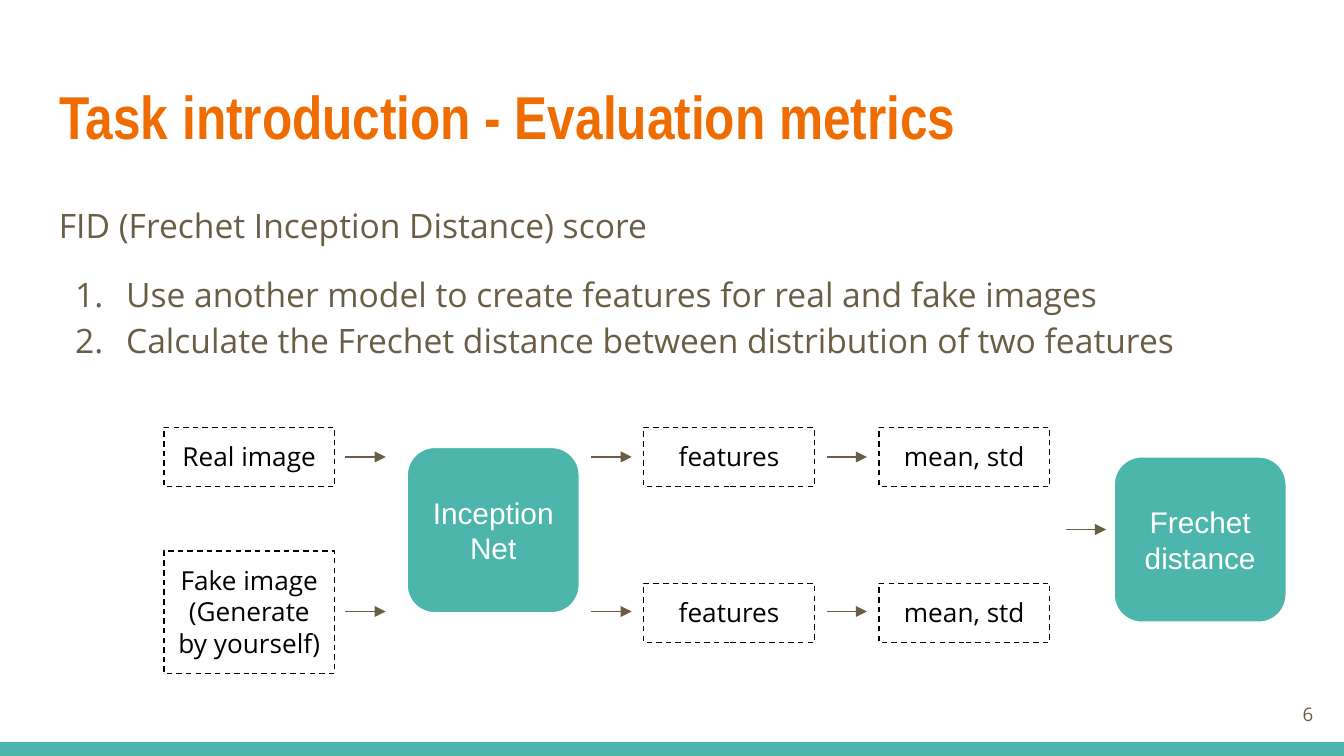
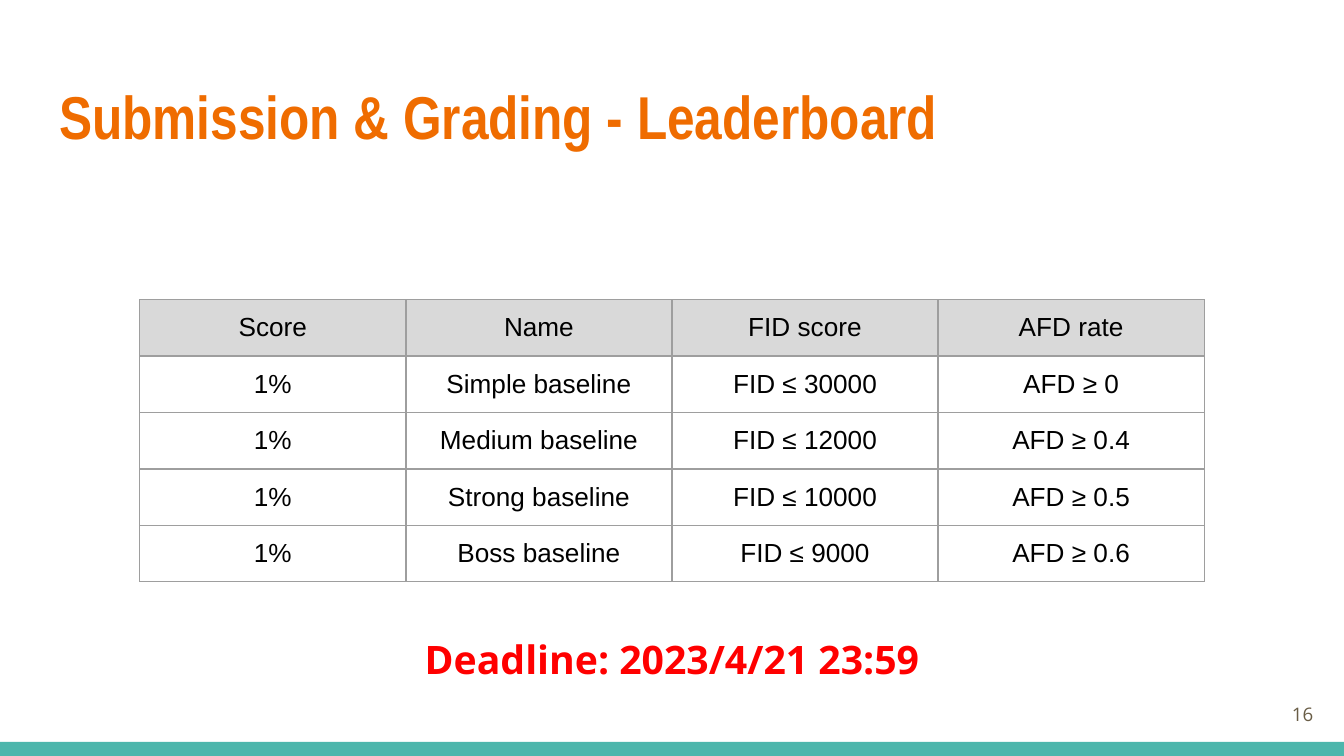
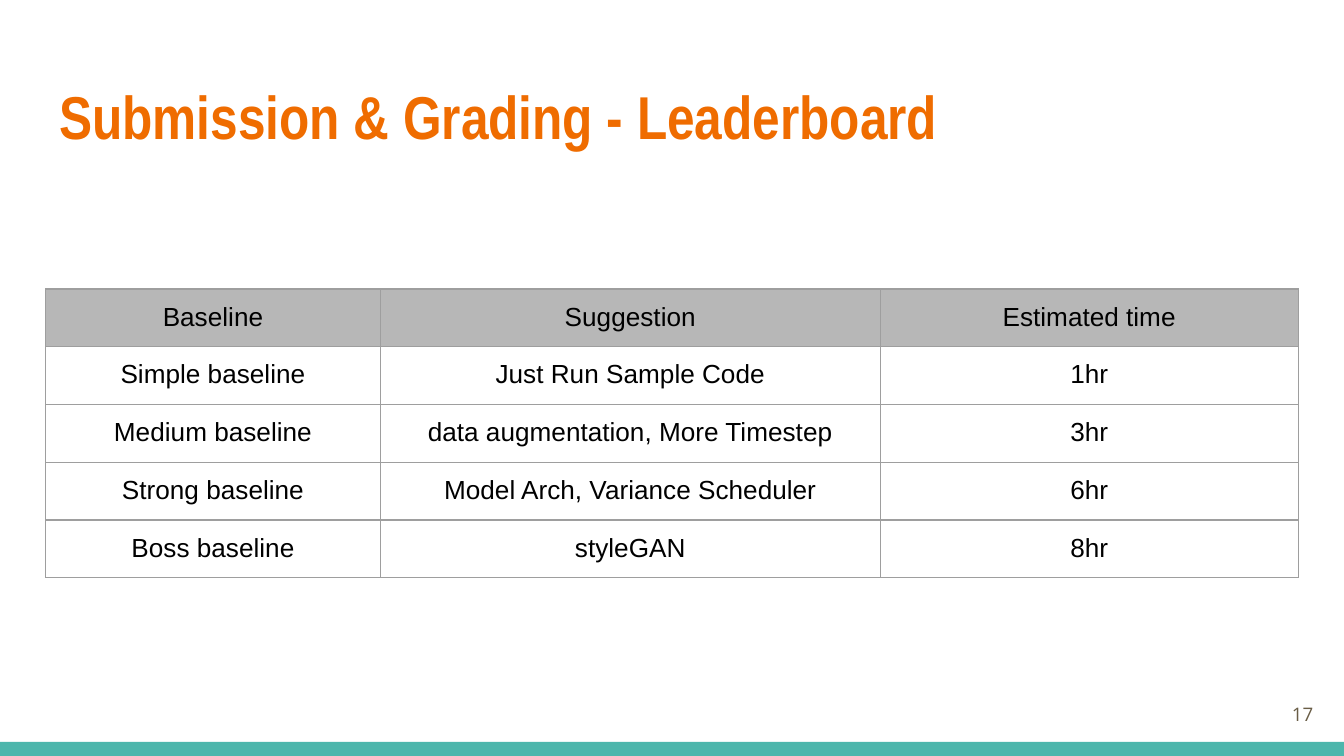
import lxml.etree
import pptx
import pptx.dml.color
import pptx.enum.dml
import pptx.enum.shapes
import pptx.enum.text
import pptx.oxml.ns
import pptx.util

RGBColor = pptx.dml.color.RGBColor
Inches = pptx.util.Inches
Pt = pptx.util.Pt
PP_ALIGN = pptx.enum.text.PP_ALIGN
MSO_ANCHOR = pptx.enum.text.MSO_ANCHOR
MSO_AUTO_SIZE = pptx.enum.text.MSO_AUTO_SIZE
MSO_SHAPE = pptx.enum.shapes.MSO_SHAPE
qn = pptx.oxml.ns.qn

ORANGE = RGBColor(0xEF, 0x6C, 0x00)
TEAL = RGBColor(0x4D, 0xB6, 0xAC)
BROWN = RGBColor(0x69, 0x5D, 0x46)
BLACK = RGBColor(0x00, 0x00, 0x00)
WHITE = RGBColor(0xFF, 0xFF, 0xFF)
RED = RGBColor(0xFF, 0x00, 0x00)
BORDER_GRAY = RGBColor(0x9E, 0x9E, 0x9E)
LIGHT_GRAY = RGBColor(0xD9, 0xD9, 0xD9)
MID_GRAY = RGBColor(0xB7, 0xB7, 0xB7)

TITLE_FONT = "Arial Narrow"
BODY_FONT = "Open Sans"
PLAIN_FONT = "Arial"

SLIDE_WIDTH = Inches(10)
SLIDE_HEIGHT = SLIDE_WIDTH * 9 // 16
MARGIN = 0.34
CONTENT_WIDTH = 9.32
LINE_WIDTH = Pt(0.75)
STEP_WIDTH = 1.27
ARROW_LENGTH = 0.3
REAL_ROW, FAKE_ROW = 3.4, 4.55


def style_font(font, name, size, color, bold=False):
    """Set the typeface, size, colour and weight of a font."""
    font.name, font.size, font.bold = name, Pt(size), bold
    font.color.rgb = color


def fill_text(frame, lines, name, size, color, align=PP_ALIGN.LEFT,
              anchor=MSO_ANCHOR.TOP, bold=False):
    """Write lines as equally formatted paragraphs with even insets."""
    frame.word_wrap = True
    frame.auto_size = MSO_AUTO_SIZE.NONE
    frame.vertical_anchor = anchor
    frame.margin_left = frame.margin_right = Inches(0.1)
    frame.margin_top = frame.margin_bottom = Inches(0.1)
    frame.text = "\n".join(lines)
    for paragraph in frame.paragraphs:
        paragraph.alignment = align
        style_font(paragraph.font, name, size, color, bold)


def add_label(slide, left, top, width, height, lines, *style, **options):
    """Add a text box and return its text frame."""
    label = slide.shapes.add_textbox(
        Inches(left), Inches(top), Inches(width), Inches(height))
    fill_text(label.text_frame, lines, *style, **options)
    return label.text_frame


def add_block(slide, kind, left, top, width, height):
    """Add a preset shape without a shadow."""
    block = slide.shapes.add_shape(
        kind, Inches(left), Inches(top), Inches(width), Inches(height))
    block.shadow.inherit = False
    return block


def add_titled_slide(deck, title, number):
    """Add a slide with its title, bottom band and page number."""
    slide = deck.slides.add_slide(deck.slide_layouts[5])
    band = add_block(slide, MSO_SHAPE.RECTANGLE, 0, 5.52, 10, 0.11)
    band.fill.solid()
    band.fill.fore_color.rgb = TEAL
    band.line.fill.background()
    heading = slide.shapes.title
    heading.left, heading.top = Inches(MARGIN), Inches(0.49)
    heading.width, heading.height = Inches(CONTENT_WIDTH), Inches(0.77)
    fill_text(heading.text_frame, [title], TITLE_FONT, 32.4, ORANGE, bold=True)
    add_label(slide, 9.27, 5.1, 0.6, 0.43, [str(number)], BODY_FONT, 10, BROWN,
              align=PP_ALIGN.RIGHT, anchor=MSO_ANCHOR.MIDDLE)
    return slide


def number_paragraph(paragraph):
    """Turn a paragraph into an item of a numbered list."""
    properties = paragraph._p.get_or_add_pPr()
    properties.set("marL", str(Inches(0.5)))
    properties.set("indent", str(Inches(-0.38)))
    numbering = lxml.etree.Element(qn("a:buAutoNum"), type="arabicPeriod")
    properties.insert_element_before(numbering, "a:tabLst", "a:defRPr", "a:extLst")


def add_data_box(slide, left, top, height, lines):
    """Add a dashed box that names a piece of data."""
    box = add_block(slide, MSO_SHAPE.RECTANGLE, left, top, STEP_WIDTH, height)
    box.fill.background()
    box.line.color.rgb = BLACK
    box.line.width = LINE_WIDTH
    box.line.dash_style = pptx.enum.dml.MSO_LINE.DASH
    fill_text(box.text_frame, lines, BODY_FONT, 14, BLACK, PP_ALIGN.CENTER)


def add_process(slide, left, top, lines):
    """Add a teal rounded block that names a computation."""
    process = add_block(slide, MSO_SHAPE.ROUNDED_RECTANGLE, left, top, 1.28, 1.23)
    process.fill.solid()
    process.fill.fore_color.rgb = TEAL
    process.line.color.rgb = WHITE
    process.line.width = LINE_WIDTH
    fill_text(process.text_frame, lines, PLAIN_FONT, 16, WHITE,
              PP_ALIGN.CENTER, MSO_ANCHOR.MIDDLE)


def add_arrow(slide, left, middle):
    """Add a short arrow pointing right."""
    arrow = slide.shapes.add_connector(
        pptx.enum.shapes.MSO_CONNECTOR.STRAIGHT, Inches(left), Inches(middle),
        Inches(left + ARROW_LENGTH), Inches(middle))
    arrow.line.color.rgb = BROWN
    arrow.line.width = LINE_WIDTH
    properties = arrow.element.spPr
    outline = properties.find(qn("a:ln"))
    lxml.etree.SubElement(outline, qn("a:tailEnd"), type="triangle")
    lxml.etree.SubElement(properties, qn("a:effectLst"))


def border_cell(cell):
    """Draw a thin gray border on all four sides of a cell."""
    properties = cell._tc.get_or_add_tcPr()
    for side in ("a:lnL", "a:lnR", "a:lnT", "a:lnB"):
        edge = lxml.etree.SubElement(properties, qn(side), w=str(LINE_WIDTH))
        paint = lxml.etree.SubElement(edge, qn("a:solidFill"))
        lxml.etree.SubElement(paint, qn("a:srgbClr"), val=str(BORDER_GRAY))


def add_grid(slide, left, top, widths, row_height, header_color, rows):
    """Add a bordered table with a shaded header row."""
    grid = slide.shapes.add_table(
        len(rows), len(widths), Inches(left), Inches(top),
        Inches(sum(widths)), Inches(row_height * len(rows))).table
    grid.first_row = grid.horz_banding = False
    for column, width in zip(grid.columns, widths):
        column.width = Inches(width)
    for index, values in enumerate(rows):
        grid.rows[index].height = Inches(row_height)
        for cell, value in zip(grid.rows[index].cells, values):
            cell.margin_left = cell.margin_right = Inches(0.1)
            cell.margin_top = cell.margin_bottom = Inches(0.1)
            cell.text = value
            paragraph = cell.text_frame.paragraphs[0]
            paragraph.alignment = PP_ALIGN.CENTER
            style_font(paragraph.font, PLAIN_FONT, 14, BLACK)
            border_cell(cell)
            if index == 0:
                cell.fill.solid()
                cell.fill.fore_color.rgb = header_color
            else:
                cell.fill.background()


def build_metrics(deck):
    """Build the slide that explains the FID score."""
    slide = add_titled_slide(deck, "Task introduction - Evaluation metrics", 6)
    explanation = add_label(slide, MARGIN, 1.38, CONTENT_WIDTH, 3.61, [
        "FID (Frechet Inception Distance) score",
        "Use another model to create features for real and fake images",
        "Calculate the Frechet distance between distribution of two features",
    ], BODY_FONT, 18, BROWN)
    for paragraph in explanation.paragraphs:
        paragraph.line_spacing = 1.15
    steps = explanation.paragraphs[1:]
    steps[0].space_before = Pt(12)
    for step in steps:
        number_paragraph(step)

    add_data_box(slide, 1.22, 3.18, 0.44, ["Real image"])
    add_data_box(slide, 1.22, 4.1, 0.91, ["Fake image", "(Generate by yourself)"])
    for left, name in ((4.79, "features"), (6.54, "mean, std")):
        for top in (3.18, 4.34):
            add_data_box(slide, left, top, 0.44, [name])
    add_process(slide, 3.03, 3.33, ["Inception", "Net"])
    add_process(slide, 8.29, 3.4, ["Frechet", "distance"])
    for left in (2.57, 4.4, 6.15):
        for middle in (REAL_ROW, FAKE_ROW):
            add_arrow(slide, left, middle)
    add_arrow(slide, 7.93, 3.94)


def build_thresholds(deck):
    """Build the slide with the score thresholds and the deadline."""
    slide = add_titled_slide(deck, "Submission & Grading - Leaderboard", 16)
    add_grid(slide, 1.04, 2.23, [1.98] * 4, 0.42, LIGHT_GRAY, [
        ("Score", "Name", "FID score", "AFD rate"),
        ("1%", "Simple baseline", "FID ≤ 30000", "AFD ≥ 0"),
        ("1%", "Medium baseline", "FID ≤ 12000", "AFD ≥ 0.4"),
        ("1%", "Strong baseline", "FID ≤ 10000", "AFD ≥ 0.5"),
        ("1%", "Boss baseline", "FID ≤ 9000", "AFD ≥ 0.6"),
    ])
    add_label(slide, 2.64, 4.63, 4.72, 0.56, ["Deadline: 2023/4/21 23:59"],
              BODY_FONT, 21, RED, align=PP_ALIGN.CENTER, bold=True)


def build_suggestions(deck):
    """Build the slide with suggestions for each baseline."""
    slide = add_titled_slide(deck, "Submission & Grading - Leaderboard", 17)
    add_grid(slide, MARGIN, 2.15, [2.49, 3.72, 3.11], 0.43, MID_GRAY, [
        ("Baseline", "Suggestion", "Estimated time"),
        ("Simple baseline", "Just Run Sample Code", "1hr"),
        ("Medium baseline", "data augmentation, More Timestep", "3hr"),
        ("Strong baseline", "Model Arch, Variance Scheduler", "6hr"),
        ("Boss baseline", "styleGAN", "8hr"),
    ])


def main():
    """Build the three slides and save the deck."""
    deck = pptx.Presentation()
    deck.slide_width, deck.slide_height = SLIDE_WIDTH, SLIDE_HEIGHT
    build_metrics(deck)
    build_thresholds(deck)
    build_suggestions(deck)
    deck.save("out.pptx")


if __name__ == "__main__":
    main()
